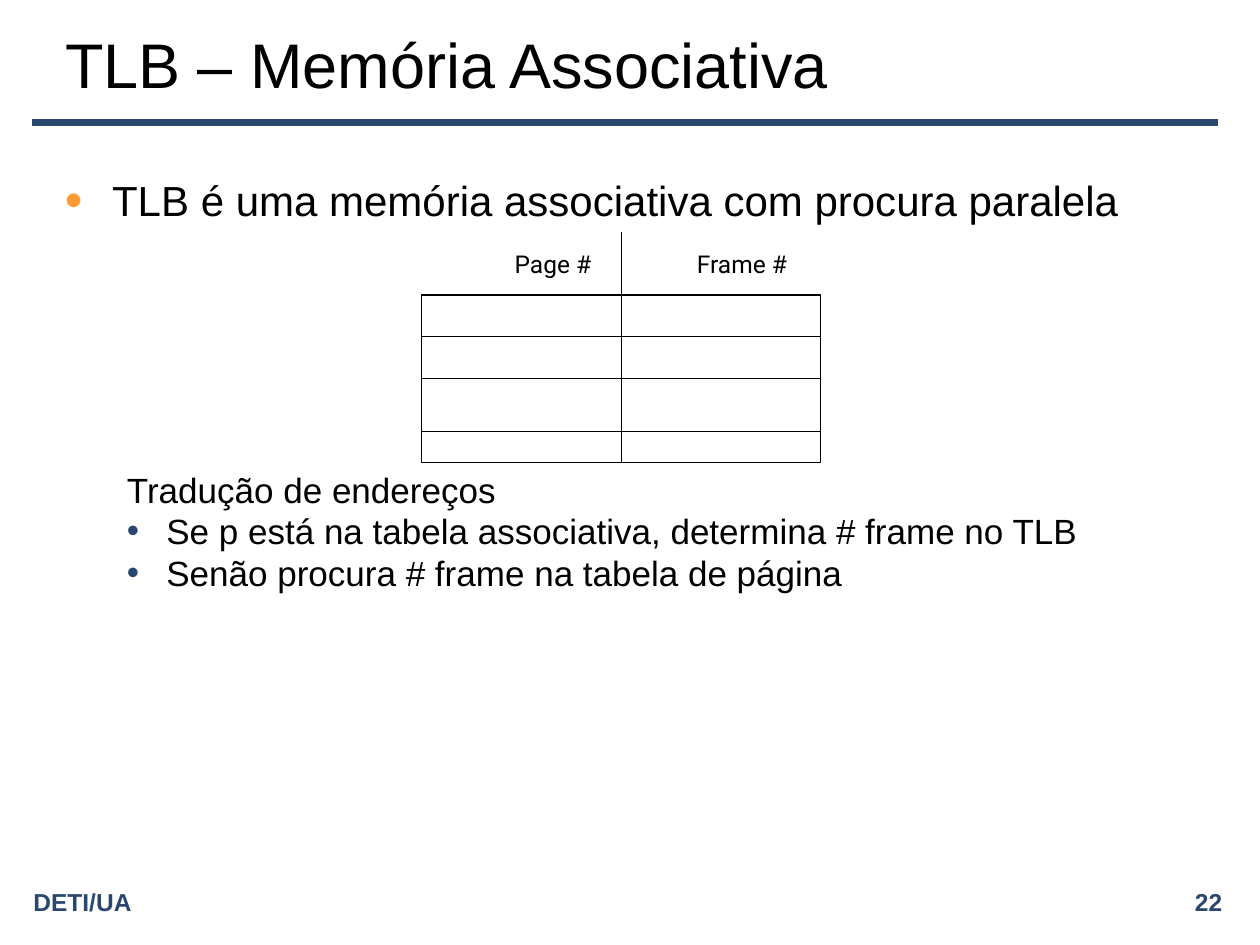
from lxml import etree
from pptx import Presentation
from pptx.dml.color import RGBColor
from pptx.enum import shapes, text
from pptx.oxml import ns
from pptx.util import Pt

BLACK = RGBColor(0x00, 0x00, 0x00)
WHITE = RGBColor(0xFF, 0xFF, 0xFF)
NAVY = RGBColor(0x2A, 0x47, 0x6F)
ORANGE = RGBColor(0xFF, 0x99, 0x33)

LEFT, CENTER, RIGHT = text.PP_ALIGN.LEFT, text.PP_ALIGN.CENTER, text.PP_ALIGN.RIGHT
TOP, LEFT_SIDE, BOTTOM, RIGHT_SIDE = range(4)


def write(paragraph, words, size, color=BLACK, name="Arial", bold=False, align=LEFT):
    paragraph.alignment = align
    run = paragraph.add_run()
    run.text = words
    for attribute, value in {"size": Pt(size), "name": name, "bold": bold}.items():
        setattr(run.font, attribute, value)
    run.font.color.rgb = color


def add_label(slide, box, words, size, wrap=True, **style):
    """Add one line of text, centred vertically in its box."""
    frame = slide.shapes.add_textbox(*map(Pt, box)).text_frame
    frame.word_wrap = wrap
    frame.vertical_anchor = text.MSO_ANCHOR.MIDDLE
    write(frame.paragraphs[0], words, size, **style)


def add_line(slide, start, end, color=BLACK, width=0.75):
    line = slide.shapes.add_connector(
        shapes.MSO_CONNECTOR.STRAIGHT, *map(Pt, (*start, *end)))
    line.line.color.rgb = color
    line.line.width = Pt(width)
    etree.SubElement(line._element.spPr, ns.qn("a:effectLst"))
    return line


def set_indent(paragraph, margin, hanging, bullet_color=None, bullet_percent=100):
    """Set a hanging indent, with a bullet where a colour is given."""
    properties = paragraph._p.get_or_add_pPr()
    properties.set("marL", str(Pt(margin)))
    properties.set("indent", str(Pt(-hanging)))
    if bullet_color is None:
        etree.SubElement(properties, ns.qn("a:buNone"))
        return
    color = etree.SubElement(properties, ns.qn("a:buClr"))
    etree.SubElement(color, ns.qn("a:srgbClr"), val=str(bullet_color))
    etree.SubElement(properties, ns.qn("a:buSzPct"), val=str(bullet_percent * 1000))
    etree.SubElement(properties, ns.qn("a:buFont"), typeface="Arial")
    etree.SubElement(properties, ns.qn("a:buChar"), char="•")


def add_title(slide, box, words):
    title = slide.shapes.title
    for attribute, value in zip(("left", "top", "width", "height"), box):
        setattr(title, attribute, Pt(value))
    title.text_frame.vertical_anchor = text.MSO_ANCHOR.MIDDLE
    write(title.text_frame.paragraphs[0], words, 36)


def add_body(slide, box):
    """Add the text, leaving room for the table after the first paragraph."""
    frame = slide.shapes.add_textbox(*map(Pt, box)).text_frame
    frame.word_wrap = True
    outer, inner = (27, 27), (58, 22.5)
    rows = [
        ("TLB é uma memória associativa com procura paralela",
         24, 5.5, (*outer, ORANGE, 120)),
        ("Tradução de endereços", 20, 143.5, inner),
        ("Se p está na tabela associativa, determina # frame no TLB",
         20, 4.7, (*inner, NAVY)),
        ("Senão procura # frame na tabela de página", 20, 4.7, (*inner, NAVY)),
    ]
    for index, (words, size, space, indent) in enumerate(rows):
        paragraph = frame.add_paragraph() if index else frame.paragraphs[0]
        paragraph.line_spacing = 0.8
        paragraph.space_before = Pt(space)
        set_indent(paragraph, *indent)
        write(paragraph, words, size)


def add_tlb_diagram(slide, box):
    """Draw the TLB entries, with the column headings in the upper part."""
    left, top, width, height = box
    header = 36
    right, middle, bottom = left + width, left + width / 2, top + height
    entries = slide.shapes.add_shape(
        shapes.MSO_SHAPE.RECTANGLE,
        *map(Pt, (left, top + header, width, height - header)))
    entries.shadow.inherit = False
    entries.fill.solid()
    entries.fill.fore_color.rgb = WHITE
    entries.line.color.rgb = BLACK
    entries.line.width = Pt(0.75)

    divider = add_line(slide, (middle, top), (middle, bottom))
    divider.end_connect(entries, BOTTOM)
    row_lines = [add_line(slide, (left, top + header + offset),
                          (right, top + header + offset))
                 for offset in (24, 48, 78)]
    row_lines[1].begin_connect(entries, LEFT_SIDE)
    row_lines[1].end_connect(entries, RIGHT_SIDE)

    for words, offset in (("Page #", 24), ("Frame #", 132)):
        add_label(slide, (left + offset, top + 6, 102, 24), words, 14,
                  wrap=False, name="Roboto", align=CENTER)


def add_footer(slide, box):
    left, top, width, height = box
    label_width = 279
    for words, x, align in (("DETI/UA", left, LEFT),
                            ("22", left + width - label_width, RIGHT)):
        add_label(slide, (x, top, label_width, height), words, 14,
                  color=NAVY, bold=True, align=align)


def main():
    presentation = Presentation()
    presentation.slide_width, presentation.slide_height = Pt(720), Pt(540)
    slide = presentation.slides.add_slide(presentation.slide_layouts[5])
    add_line(slide, (18, 70), (696, 70), NAVY, 4.5)
    add_footer(slide, (12, 504, 693.5, 22.5))
    add_title(slide, (30, 12, 630, 48), "TLB – Memória Associativa")
    add_body(slide, (30, 102, 648, 356))
    add_tlb_diagram(slide, (241, 132.5, 228, 132))
    presentation.save("out.pptx")


if __name__ == "__main__":
    main()
